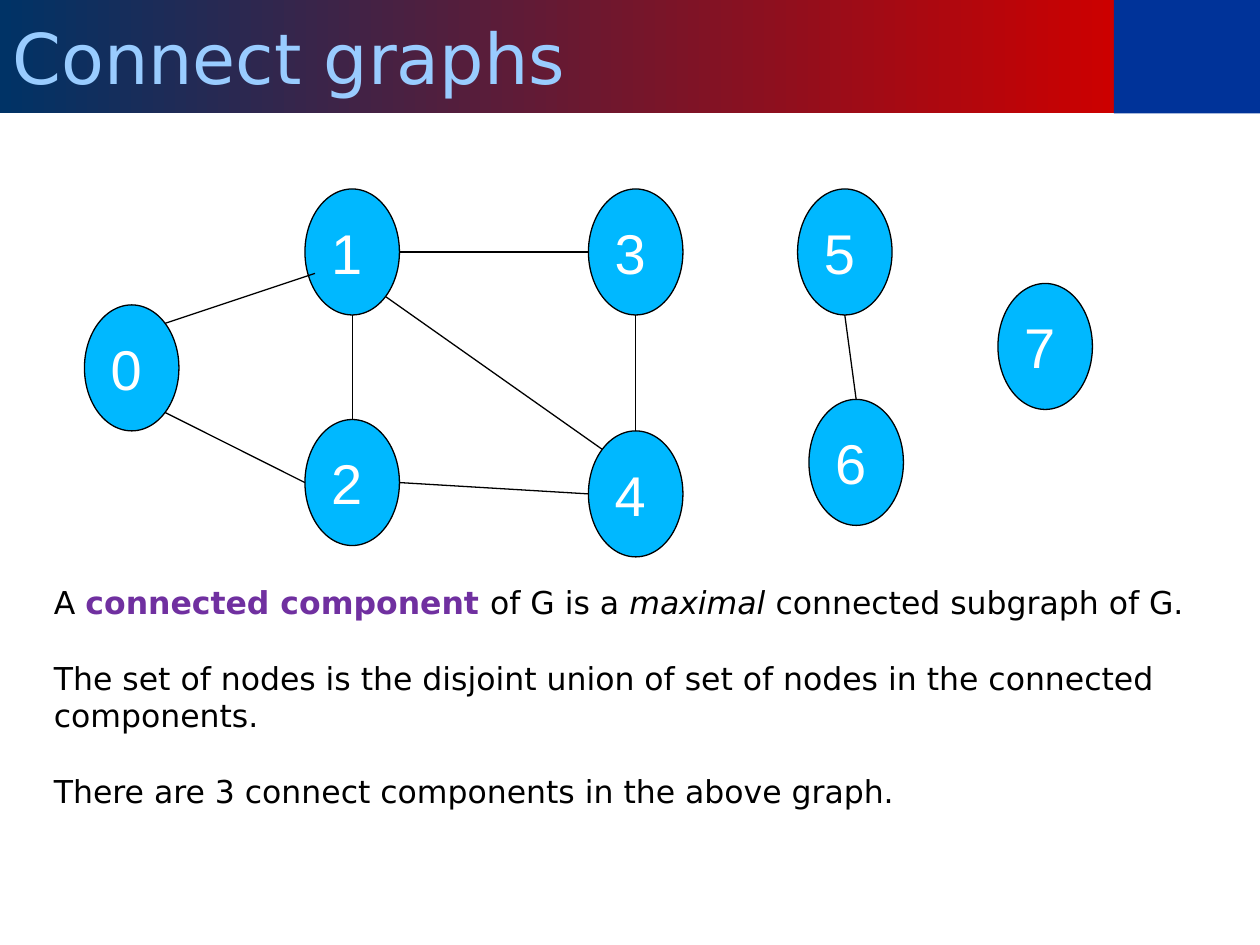
from pptx import Presentation
from pptx.dml.color import RGBColor
from pptx.enum.shapes import MSO_CONNECTOR, MSO_SHAPE
from pptx.enum.text import MSO_ANCHOR, MSO_AUTO_SIZE, PP_ALIGN
from pptx.oxml.ns import qn
from pptx.util import Inches, Pt
from lxml import etree

OVAL, RECT = MSO_SHAPE.OVAL, MSO_SHAPE.RECTANGLE
LINE = MSO_CONNECTOR.STRAIGHT
LEFT, MIDDLE = PP_ALIGN.LEFT, MSO_ANCHOR.MIDDLE
FIXED = MSO_AUTO_SIZE.NONE

BLACK = RGBColor(0, 0, 0)
WHITE = RGBColor(255, 255, 255)
NAVY = RGBColor(0x00, 0x33, 0x66)
RED = RGBColor(0xCC, 0x00, 0x00)
BLUE = RGBColor(0x00, 0x33, 0x99)
PALE = RGBColor(0x99, 0xCC, 0xFF)
CYAN = RGBColor(0x00, 0xB8, 0xFF)
PURPLE = RGBColor(0x70, 0x30, 0xA0)

# Node size, and its rim points as shares of that size
WIDE, HIGH = 0.75, 1
DIAG = 0.5 ** 0.5 / 2
RIM = {
    "n": (0.5, 0), "s": (0.5, 1), "w": (0, 0.5), "e": (1, 0.5),
    "ne": (0.5 + DIAG, 0.5 - DIAG), "nw": (0.5 - DIAG, 0.5 - DIAG),
    "se": (0.5 + DIAG, 0.5 + DIAG),
}

NODES = [(0.67, 2.42), (2.42, 1.5), (2.42, 3.33), (4.67, 1.5),
         (4.67, 3.42), (6.33, 1.5), (6.42, 3.17), (7.92, 2.25)]
EDGES = [((0, "se"), (2, "w")), ((1, "s"), (2, "n")), ((3, "s"), (4, "n")),
         ((1, "e"), (3, "w")), ((2, "e"), (4, "w")), ((1, "se"), (4, "nw")),
         ((5, "s"), (6, "n"))]
NOTES = [
    [("A ", ""), ("connected component ", "key"), ("of G is a ", ""),
     ("maximal", "slant"), (" connected subgraph of G.", "")],
    [("The set of nodes is the disjoint union of set of nodes in the "
      "connected components.", "")],
    [("There are 3 connect components in the above graph.", "")],
]


def rim(node, side):
    """Return the point on one side of a node."""
    left, top = NODES[node]
    across, down = RIM[side]
    return left + across * WIDE, top + down * HIGH


class Deck:
    """Holds the style and the current slide."""

    face, digit = "DejaVu Sans", "Arial"
    stroke = Pt(0.75)

    def __init__(self, show):
        """Add a slide with a title only."""
        self.slide = show.slides.add_slide(show.slide_layouts[5])
        self.shapes = self.slide.shapes

    def style(self, para, face, size, color):
        """Set the font of a paragraph."""
        para.alignment = LEFT
        para.font.name, para.font.size = face, Pt(size)
        para.font.color.rgb = color

    def title(self, text, *box):
        """Fill the title on a band that fades from navy to red."""
        band = self.shapes.title
        band.left, band.top, band.width, band.height = map(Inches, box)
        band.fill.gradient()
        band.fill.gradient_angle = 0
        for stop, color in zip(band.fill.gradient_stops, (NAVY, RED)):
            stop.color.rgb = color
        frame = band.text_frame
        frame.text = text
        frame.auto_size, frame.vertical_anchor = FIXED, MIDDLE
        self.style(frame.paragraphs[0], self.face, 40, PALE)

    def shape(self, kind, color, *box):
        """Add a flat filled shape."""
        item = self.shapes.add_shape(kind, *map(Inches, box))
        item.shadow.inherit = False
        item.fill.solid()
        item.fill.fore_color.rgb = color
        return item

    def panel(self, color, *box):
        """Add a plain block with no outline."""
        self.shape(RECT, color, *box).line.fill.background()

    def node(self, label, left, top):
        """Add a numbered graph node."""
        item = self.shape(OVAL, CYAN, left, top, WIDE, HIGH)
        item.line.color.rgb, item.line.width = BLACK, self.stroke
        item.text_frame.text = label
        item.text_frame.vertical_anchor = MIDDLE
        self.style(item.text_frame.paragraphs[0], self.digit, 32, WHITE)

    def edge(self, start, end):
        """Join two points with a thin line."""
        item = self.shapes.add_connector(LINE, *map(Inches, start + end))
        item.line.color.rgb, item.line.width = BLACK, self.stroke
        etree.SubElement(item._element.spPr, qn("a:effectLst"))

    def notes(self, paras, *box):
        """Add paragraphs of styled runs, one line apart."""
        frame = self.shapes.add_textbox(*map(Inches, box)).text_frame
        frame.word_wrap = True
        for i, runs in enumerate(paras):
            para = frame.add_paragraph() if i else frame.paragraphs[0]
            self.style(para, self.face, 18, BLACK)
            para.space_before = Pt(21.5 if i else 0)
            for text, look in runs:
                run = para.add_run()
                run.text = text
                if look == "key":
                    run.font.bold = True
                    run.font.color.rgb = PURPLE
                elif look == "slant":
                    run.font.italic = True


def main():
    """Build the slide and save it."""
    show = Presentation()
    show.slide_width, show.slide_height = Inches(10), Inches(7.5)
    deck = Deck(show)
    deck.title("Connect graphs", 0, 0, 8.84, 0.9)
    deck.panel(BLUE, 8.84, 0, 1.16, 0.9)
    for i, spot in enumerate(NODES):
        deck.node(str(i), *spot)
    deck.edge(rim(0, "ne"), (2.5, 2.17))
    for start, end in EDGES:
        deck.edge(rim(*start), rim(*end))
    deck.notes(NOTES, 0.33, 4.58, 9.33, 1.92)
    show.save("out.pptx")


main()
